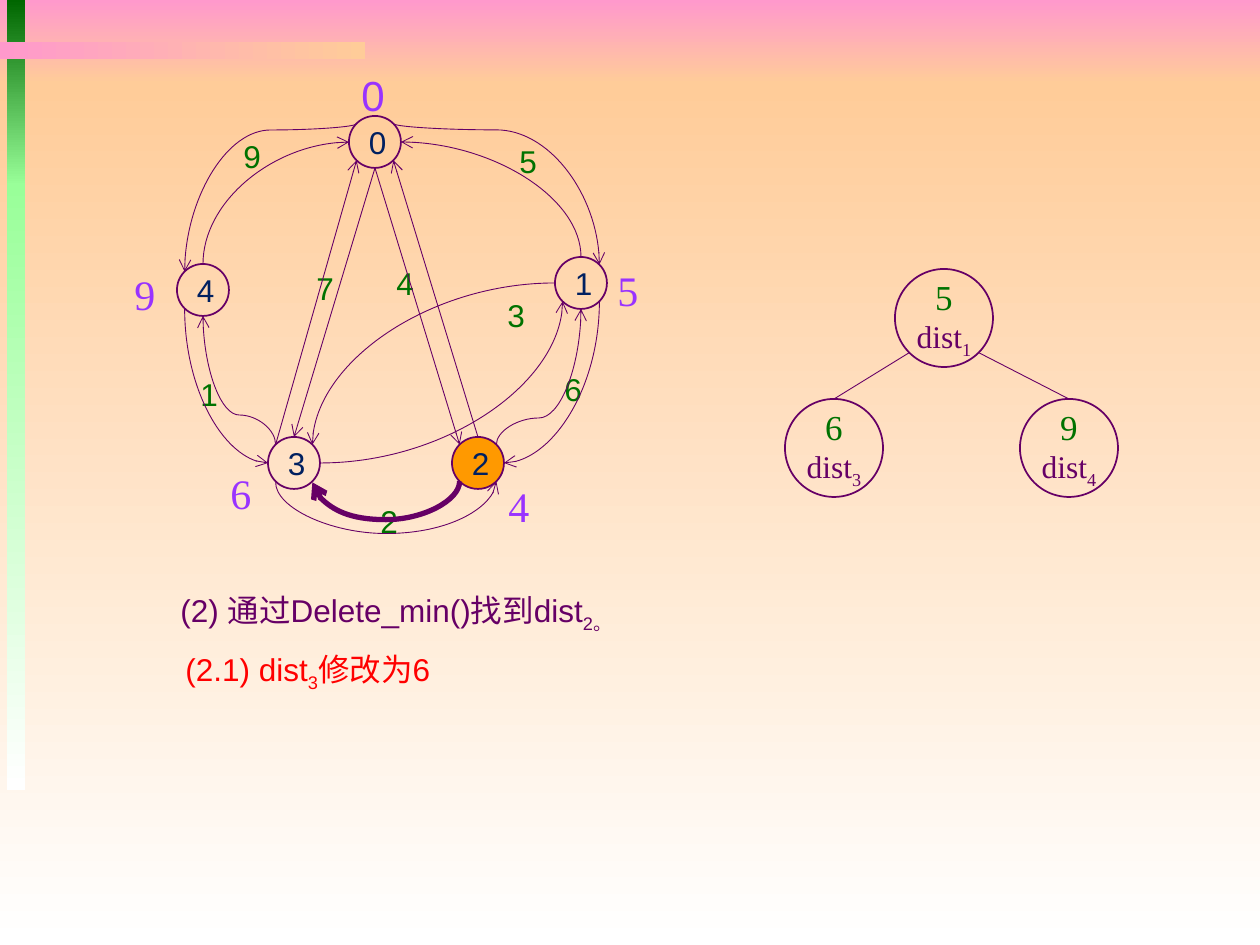
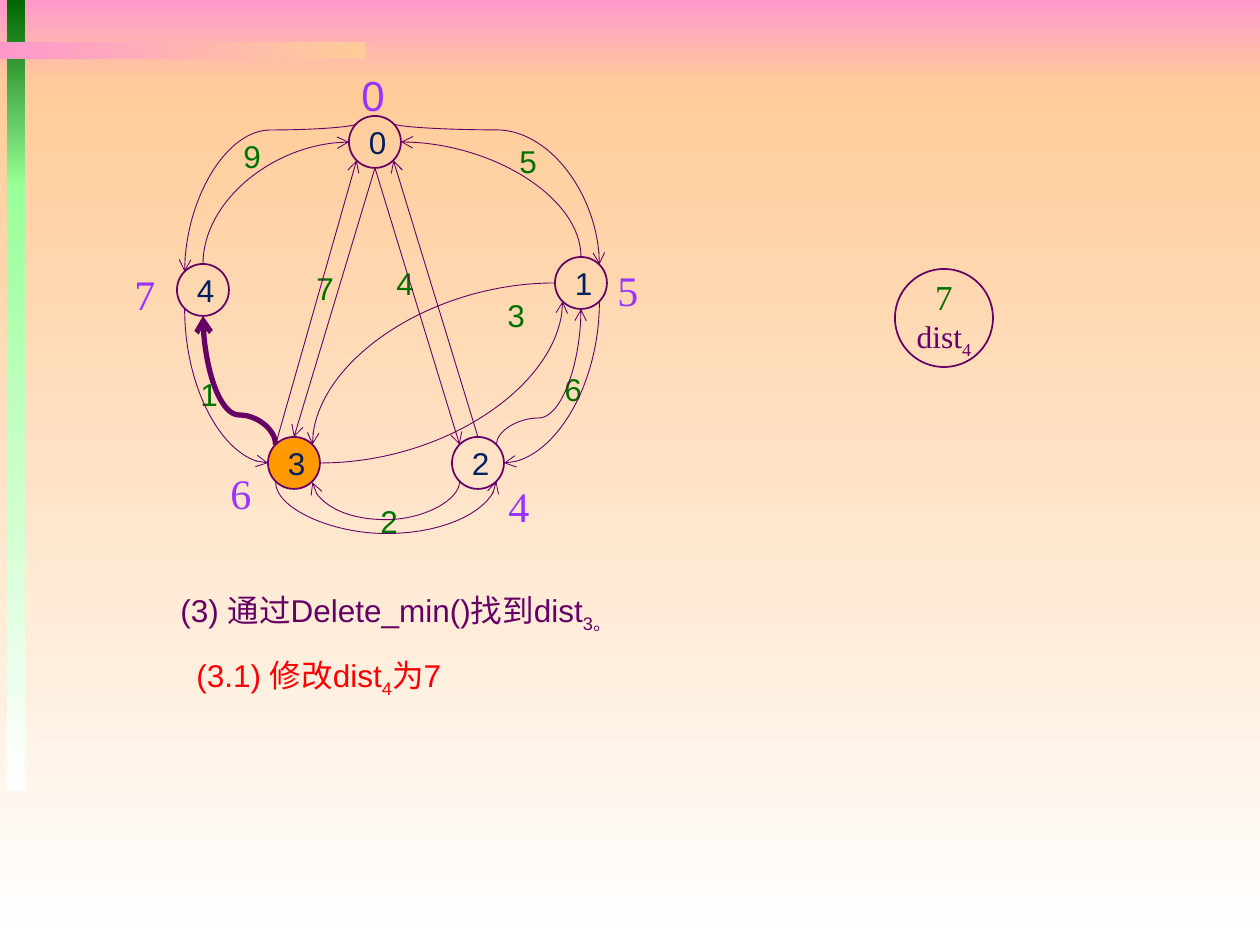
from dataclasses import dataclass
from math import sqrt

from lxml.etree import SubElement as Sub
from pptx import Presentation as Deck
from pptx.dml.color import RGBColor as Rgb
from pptx.enum.shapes import MSO_CONNECTOR as Link, MSO_SHAPE as Form
from pptx.enum.text import MSO_ANCHOR as Anchor, PP_ALIGN as Align
from pptx.oxml.ns import qn
from pptx.util import Pt

WIDE, HIGH = 1260, 945  # slide size in px


@dataclass(frozen=True)
class Theme:
    ink: str = "660066"
    node: str = "002060"
    cost: str = "007200"
    dist: str = "9933FF"
    note: str = "FF0000"
    hot: str = "FF9900"
    pink: str = "FF99CC"
    peach: str = "FFCC99"
    white: str = "FFFFFF"
    pine: str = "006600"
    mint: str = "99FF99"
    sans: str = "Arial"
    serif: str = "Times New Roman"
    body: int = 18
    key: int = 20
    large: int = 24
    ring: float = 1
    thin: float = 0.5
    thick: float = 3


T = Theme()

# Graph: centre of each node, and top left of its distance label
RAD = 26
NODES = {"0": (375, 142), "4": (203, 290), "3": (294, 463),
         "2": (478, 463), "1": (581, 283)}
SPOTS = {"0": (349, 63), "1": (605, 258), "2": (496, 474),
         "3": (218, 461), "4": (122, 262)}
COSTS = [("9", 231, 131), ("5", 507, 136), ("4", 384, 258), ("7", 304, 263),
         ("1", 188, 369), ("2", 368, 496), ("3", 495, 290), ("6", 552, 364)]

# Edges: start port, end port, route, arrow at the start?
# A route is "line", "across" (leaves sideways), "down" (leaves upright),
# or the y of the rail that the curve runs along.
EDGES = {
    "04": ("0nw", "4nw", 130, False),
    "43": ("3w", "4sw", "across", True),
    "01": ("1ne", "0ne", 130, True),
    "32": ("2se", "3sw", 534, True),
    "12": ("1se", "2e", "down", False),
    "02": ("2nw", "0s", "line", True),
    "03": ("3n", "0s", "line", True),
    "13": ("1w", "3ne", "across", False),
    "23": ("2sw", "3se", 520, False),
    "31": ("1sw", "3e", "down", True),
    "34": ("3nw", "4s", 415, False),
    "21": ("1s", "2ne", 418, True),
    "40": ("0w", "4n", "across", True),
    "10": ("1n", "0e", "down", False),
    "30": ("3nw", "0sw", "line", False),
    "20": ("2n", "0se", "line", False),
}

# Heap: a root and two children
HEAP = [(944, 318), (834, 448), (1069, 448)]
HEAP_RAD = 49

# What each step shows; text pieces alternate between plain and subscript
STEPS = [
    {"hot": "2", "edge": "23",
     "dist": {"0": "0", "1": "5", "2": "4", "3": "6", "4": "9"},
     "heap": [("5", "1"), ("6", "3"), ("9", "4")],
     "find": ["(2) 通过Delete_min()找到dist", "2。"],
     "fix": ["(2.1) dist", "3", "修改为6"], "at": (173, 644)},
    {"hot": "3", "edge": "34",
     "dist": {"0": "0", "1": "5", "2": "4", "3": "6", "4": "7"},
     "heap": [("7", "4")],
     "find": ["(3) 通过Delete_min()找到dist", "3。"],
     "fix": ["(3.1) 修改dist", "4", "为7"], "at": (184, 650)},
]


def px(num):
    return round(num * 914400 / 126)


def hue(code):
    return Rgb.from_string(code)


def style(font, size, color, face):
    font.size, font.name = Pt(size), face
    font.color.rgb = hue(color)


def write(para, parts):
    """Add runs, every second one as a subscript."""
    for num, part in enumerate(parts):
        run = para.add_run()
        run.text = part
        if num % 2:
            run._r.get_or_add_rPr().set("baseline", "-25000")
        yield run


def band(slide, left, top, width, height, first, last, angle=270):
    rect = slide.shapes.add_shape(
        Form.RECTANGLE, px(left), px(top), px(width), px(height))
    rect.shadow.inherit = False
    rect.line.fill.background()
    rect.fill.gradient()
    rect.fill.gradient_angle = angle
    for stop, code in zip(rect.fill.gradient_stops, (first, last)):
        stop.color.rgb = hue(code)


def ring(slide, mid, rad, fill=None):
    """Draw a circle and return its text frame."""
    disc = slide.shapes.add_shape(
        Form.OVAL, px(mid[0] - rad), px(mid[1] - rad), px(2 * rad), px(2 * rad))
    disc.shadow.inherit = False
    disc.line.color.rgb, disc.line.width = hue(T.ink), Pt(T.ring)
    if fill:
        disc.fill.solid()
        disc.fill.fore_color.rgb = hue(fill)
    else:
        disc.fill.background()
    frame = disc.text_frame
    frame.vertical_anchor = Anchor.MIDDLE
    frame.paragraphs[0].alignment = Align.CENTER
    return frame


def label(slide, spot, size, parts, color, face=T.sans, wrap=False):
    box = slide.shapes.add_textbox(*map(px, spot), *map(px, size))
    box.text_frame.word_wrap = wrap
    para = box.text_frame.paragraphs[0]
    style(para.font, T.large if color == T.dist else T.body, color, face)
    list(write(para, parts))


def port(mid, rad, side):
    """Point of a circle in a compass direction."""
    east = ("e" in side) - ("w" in side)
    south = ("s" in side) - ("n" in side)
    reach = rad / sqrt(east ** 2 + south ** 2)
    return mid[0] + east * reach, mid[1] + south * reach


def stroke(link, width=T.thin):
    link.line.color.rgb, link.line.width = hue(T.ink), Pt(width)
    Sub(link._element.spPr, qn("a:effectLst"))


def line(slide, start, end):
    return slide.shapes.add_connector(
        Link.STRAIGHT, *map(px, start), *map(px, end))


def curve(slide, start, end, route):
    """Curve from start to an end on its left."""
    run, drop = start[0] - end[0], (end[1] - start[1]) or 1
    midx, midy = start[0] - run / 2, start[1] + drop / 2
    if route == "across":
        wide, high, turn, flip = run, abs(drop), 180, drop > 0
    else:
        wide, high, flip = abs(drop), run, drop < 0
        turn = 270 if flip else 90
    top, low = midy - high / 2, midy + high / 2
    if flip:
        top, low = low, top
    link = slide.shapes.add_connector(
        Link.CURVE, px(midx - wide / 2), px(top), px(midx + wide / 2), px(low))
    props = link._element.spPr
    props.find(qn("a:xfrm")).set("rot", str(turn * 60000))
    geom = props.find(qn("a:prstGeom"))
    if isinstance(route, int):
        share = round((route - start[1]) / drop * 100000)
        Sub(geom.find(qn("a:avLst")), qn("a:gd"), name="adj1", fmla=f"val {share}")
    else:
        geom.set("prst", "curvedConnector2")
    return link


def edge(slide, first, last, route, back, width):
    start, end = (port(NODES[p[0]], RAD, p[1:]) for p in (first, last))
    if route == "line":
        link = line(slide, start, end)
    else:
        link = curve(slide, start, end, route)
    stroke(link, width)
    tip = "a:headEnd" if back else "a:tailEnd"
    Sub(link.line._get_or_add_ln(), qn(tip), type="arrow")


def backdrop(slide):
    band(slide, 0, 0, WIDE, 84, T.pink, T.peach)
    band(slide, 0, 84, WIDE, HIGH - 84, T.peach, T.white)
    band(slide, 7, 0, 18, 186, T.pine, T.mint)
    band(slide, 7, 184, 18, 606, T.mint, T.white)
    band(slide, 0, 42, 365, 17, T.pink, T.peach, 0)


def graph(slide, step):
    for name, mid in NODES.items():
        frame = ring(slide, mid, RAD, T.hot if name == step["hot"] else None)
        para = frame.paragraphs[0]
        style(para.font, T.body, T.node, T.sans)
        list(write(para, [name]))
    for cost, left, top in COSTS:
        label(slide, (left, top), (43, 50), [cost], T.cost)
    for name, parts in EDGES.items():
        edge(slide, *parts, T.thick if name == step["edge"] else T.thin)
    for name, dist in step["dist"].items():
        face = T.sans if name == "0" else T.serif
        label(slide, SPOTS[name], (47, 63), [dist], T.dist, face)


def heap(slide, items):
    for mid, side in zip(HEAP[1:len(items)], ("sw", "se")):
        stroke(line(slide, port(mid, HEAP_RAD, "n"),
                    port(HEAP[0], HEAP_RAD, side)))
    for mid, (key, name) in zip(HEAP, items):
        frame = ring(slide, mid, HEAP_RAD)
        frame.margin_left = frame.margin_right = 0
        frame.margin_top = frame.margin_bottom = 0
        para = frame.paragraphs[0]
        for run in write(para, [key]):
            style(run.font, T.key, T.cost, T.serif)
        para.add_line_break()
        for run in write(para, ["dist", name]):
            style(run.font, T.body, T.ink, T.serif)


def main():
    deck = Deck()
    deck.slide_width, deck.slide_height = px(WIDE), px(HIGH)
    for step in STEPS:
        slide = deck.slides.add_slide(deck.slide_layouts[6])
        backdrop(slide)
        graph(slide, step)
        heap(slide, step["heap"])
        # Captions
        label(slide, (168, 585), (501, 50), step["find"], T.ink, wrap=True)
        label(slide, step["at"], (364, 50), step["fix"], T.note, wrap=True)
    deck.save("out.pptx")


if __name__ == "__main__":
    main()
